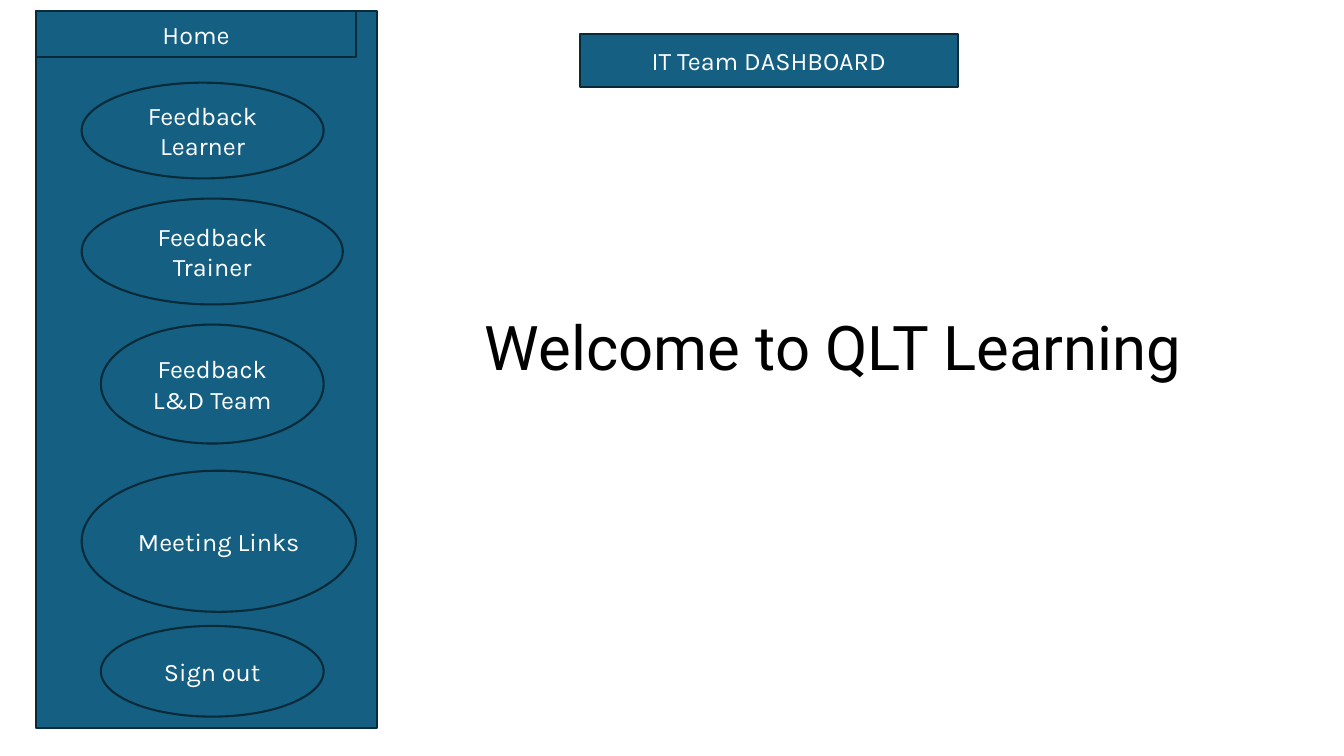
import pptx
import pptx.util
import pptx.dml.color
import pptx.enum.shapes
import pptx.enum.text

Inches = pptx.util.Inches
Pt = pptx.util.Pt
SHAPE = pptx.enum.shapes.MSO_SHAPE
ANCHOR = pptx.enum.text.MSO_ANCHOR
CENTER = pptx.enum.text.PP_ALIGN.CENTER
COLORS = {"panel": "156082", "outline": "092A39", "label": "FFFFFF", "welcome": "000000"}


def color(name):
    return pptx.dml.color.RGBColor.from_string(COLORS[name])


def style(paragraph, font_name, size, color_name):
    paragraph.alignment = CENTER
    paragraph.font.name = font_name
    paragraph.font.size = Pt(size)
    paragraph.font.color.rgb = color(color_name)


deck = pptx.Presentation()
deck.slide_width = Inches(13.33)
deck.slide_height = Inches(7.5)
dashboard = deck.slides.add_slide(deck.slide_layouts[0])
unused_title = dashboard.shapes.title.element
unused_title.getparent().remove(unused_title)

welcome = dashboard.placeholders[1]
welcome.left, welcome.top = Inches(3.88), Inches(3.1)
welcome.width, welcome.height = Inches(8.93), Inches(1.13)
welcome.text_frame.text = "Welcome to QLT Learning "
welcome.text_frame.vertical_anchor = ANCHOR.TOP
greeting = welcome.text_frame.paragraphs[0]
greeting.line_spacing = 0.9
greeting.space_before = Pt(10)
style(greeting, "Roboto", 44, "welcome")

panels = [
    (SHAPE.RECTANGLE, "", 0.36, 0.11, 3.38, 7.11),
    (SHAPE.RECTANGLE, "Home", 0.36, 0.11, 3.17, 0.46),
    (SHAPE.RECTANGLE, "IT Team DASHBOARD", 5.75, 0.34, 3.75, 0.52),
    (SHAPE.OVAL, "Feedback Learner", 0.81, 0.82, 2.4, 0.95),
    (SHAPE.OVAL, "Feedback Trainer", 0.81, 1.97, 2.59, 1.05),
    (SHAPE.OVAL, "Feedback L&D Team", 1, 3.22, 2.21, 1.18),
    (SHAPE.OVAL, "Meeting Links", 0.81, 4.67, 2.72, 1.4),
    (SHAPE.OVAL, "Sign out", 1, 6.21, 2.21, 0.9),
]
for outline, label, left, top, width, height in panels:
    panel = dashboard.shapes.add_shape(
        outline, Inches(left), Inches(top), Inches(width), Inches(height)
    )
    panel.shadow.inherit = False
    panel.fill.solid()
    panel.fill.fore_color.rgb = color("panel")
    panel.line.color.rgb = color("outline")
    panel.line.width = Pt(1.5)
    if label:
        panel.text_frame.text = label
        panel.text_frame.word_wrap = True
        panel.text_frame.vertical_anchor = ANCHOR.MIDDLE
        style(panel.text_frame.paragraphs[0], "Karla", 18, "label")

deck.save("out.pptx")
